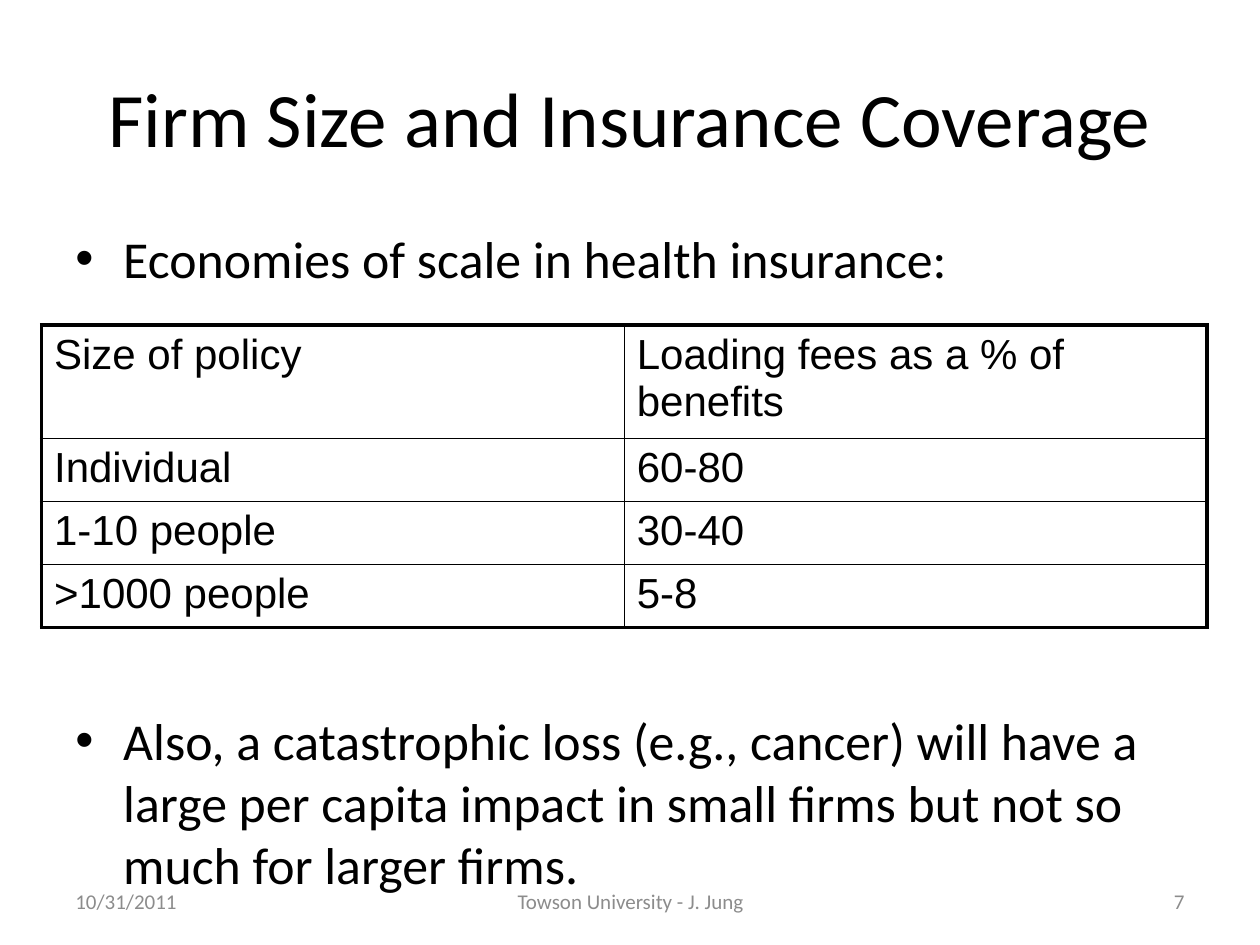
from lxml.etree import SubElement as Sub
from pptx import Presentation
from pptx.dml.color import RGBColor
from pptx.enum.text import MSO_ANCHOR as Anchor, PP_ALIGN as Align
from pptx.oxml.ns import qn
from pptx.util import Inches, Pt

BLACK = RGBColor(0x00, 0x00, 0x00)
GRAY = RGBColor(0x8C, 0x8C, 0x8C)

TITLE = {"name": "Calibri", "size": Pt(44)}
BODY = {"name": "Calibri", "size": Pt(29.6)}
CELL = {"name": "Arial", "size": Pt(24)}
FOOT = {"name": "Calibri", "size": Pt(12)}

POINTS = [
    ("Economies of scale in health insurance:", 0),
    ("Also, a catastrophic loss (e.g., cancer) will have a large per capita "
     "impact in small firms but not so much for larger firms.", 240),
]
FEES = [
    ("Size of policy", "Loading fees as a % of benefits"),
    ("Individual", "60-80"),
    ("1-10 people", "30-40"),
    (">1000 people", "5-8"),
]
HEIGHTS = [0.85, 0.49, 0.49, 0.48]
FOOTER = [
    ("10/31/2011", 0.5, 2.33, Align.LEFT),
    ("Towson University - J. Jung", 3.42, 3.17, Align.CENTER),
    ("7", 7.17, 2.33, Align.RIGHT),
]


def style(para, look, color=BLACK):
    for key, value in look.items():
        setattr(para.font, key, value)
    para.font.color.rgb = color


def add_title(slide, box, text):
    title = slide.shapes.title
    for key, value in zip(("left", "top", "width", "height"), box):
        setattr(title, key, Inches(value))
    frame = title.text_frame
    frame.text = text
    frame.vertical_anchor = Anchor.MIDDLE
    para = frame.paragraphs[0]
    para.alignment = Align.CENTER
    style(para, TITLE)


def add_text(slide, box):
    frame = slide.shapes.add_textbox(*map(Inches, box)).text_frame
    frame.word_wrap = True
    return frame


def add_points(slide, box):
    frame = add_text(slide, box)
    for i, (text, gap) in enumerate(POINTS):
        para = frame.add_paragraph() if i else frame.paragraphs[0]
        para.text = text
        if gap:
            para.space_before = Pt(gap)
        props = para._p.get_or_add_pPr()
        props.set("marL", str(Inches(0.38)))
        props.set("indent", str(-Inches(0.38)))
        Sub(props, qn("a:buFont"), typeface="Arial")
        Sub(props, qn("a:buChar"), char="•")
        style(para, BODY)


def set_edges(cell, widths):
    """Draw black cell borders; widths maps an edge tag to points."""
    props = cell._tc.get_or_add_tcPr()
    for i, (tag, width) in enumerate(widths.items()):
        line = props.makeelement(qn(f"a:{tag}"), {"w": str(Pt(width))})
        fill = Sub(line, qn("a:solidFill"))
        Sub(fill, qn("a:srgbClr"), val=str(BLACK))
        props.insert(i, line)


def add_fees(slide, box):
    rows, cols = len(FEES), len(FEES[0])
    table = slide.shapes.add_table(rows, cols, *map(Inches, box)).table
    table.first_row = table.horz_banding = False
    for row, height in zip(table.rows, HEIGHTS):
        row.height = Inches(height)
    for r, texts in enumerate(FEES):
        for c, text in enumerate(texts):
            cell = table.cell(r, c)
            cell.text = text
            cell.fill.background()
            style(cell.text_frame.paragraphs[0], CELL)
            outer = {"lnL": c == 0, "lnR": c == cols - 1,
                     "lnT": r == 0, "lnB": r == rows - 1}
            set_edges(cell, {tag: 2.25 if out else 1
                             for tag, out in outer.items()})


def add_footer(slide, top, height):
    for text, left, width, align in FOOTER:
        frame = add_text(slide, (left, top, width, height))
        frame.vertical_anchor = Anchor.MIDDLE
        para = frame.paragraphs[0]
        para.text = text
        para.alignment = align
        style(para, FOOT, GRAY)


def main():
    deck = Presentation()
    deck.slide_width, deck.slide_height = Inches(10), Inches(7.5)
    slide = deck.slides.add_slide(deck.slide_layouts[5])
    add_title(slide, (0.5, 0.3, 9, 1.25), "Firm Size and Insurance Coverage")
    add_points(slide, (0.5, 1.75, 9, 4.95))
    add_footer(slide, 6.95, 0.4)
    add_fees(slide, (0.33, 2.58, 9.25, sum(HEIGHTS)))
    deck.save("out.pptx")


if __name__ == "__main__":
    main()
